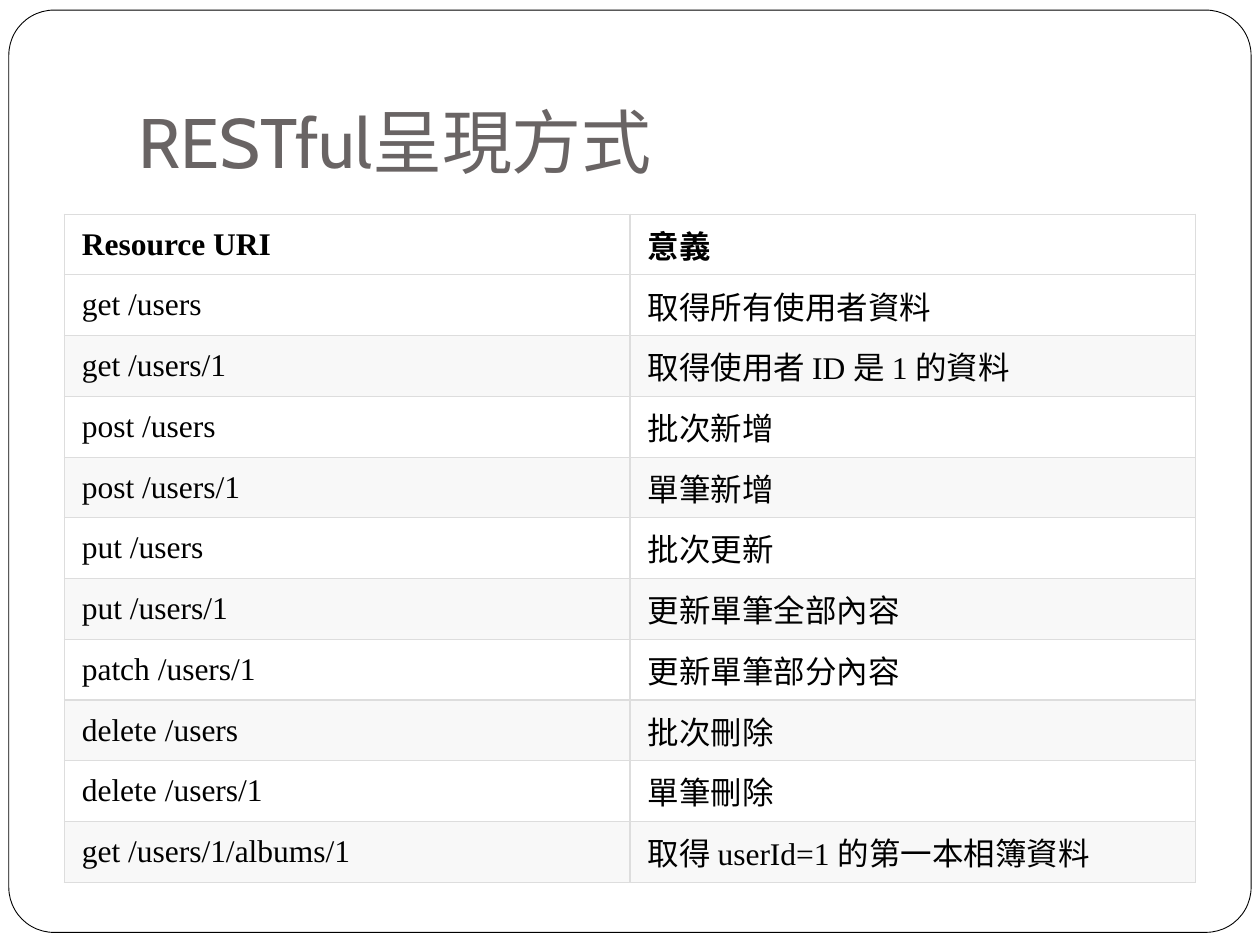
from dataclasses import dataclass

from lxml import etree
from pptx import Presentation
from pptx.dml.color import RGBColor
from pptx.enum.shapes import MSO_SHAPE
from pptx.enum.text import MSO_ANCHOR, MSO_AUTO_SIZE, PP_ALIGN
from pptx.oxml.ns import qn
from pptx.util import Inches, Pt

ROUNDED = MSO_SHAPE.ROUNDED_RECTANGLE
MIDDLE = MSO_ANCHOR.MIDDLE
BOTTOM = MSO_ANCHOR.BOTTOM
LEFT = PP_ALIGN.LEFT
NO_AUTOFIT = MSO_AUTO_SIZE.NONE

COLORS = {
    "white": "FFFFFF",
    "stripe": "F8F8F8",
    "border": "DDDDDD",
    "title": "696464",
    "black": "000000",
}
TITLE_FONT = "Cabin"
TABLE_FONT = "Times New Roman"
COLUMN_WIDTH = 4.49
ROW_HEIGHT = 0.44


@dataclass(frozen=True)
class Route:
    uri: str
    meaning: str


ROUTES = [
    Route("Resource URI", "意義"),
    Route("get /users", "取得所有使用者資料"),
    Route("get /users/1", "取得使用者 ID 是 1 的資料"),
    Route("post /users", "批次新增"),
    Route("post /users/1", "單筆新增"),
    Route("put /users", "批次更新"),
    Route("put /users/1", "更新單筆全部內容"),
    Route("patch /users/1", "更新單筆部分內容"),
    Route("delete /users", "批次刪除"),
    Route("delete /users/1", "單筆刪除"),
    Route("get /users/1/albums/1", "取得 userId=1 的第一本相簿資料"),
]


def color(name: str) -> RGBColor:
    return RGBColor.from_string(COLORS[name])


def format_text(paragraph, font_name: str, size: int, color_name: str, bold: bool = False) -> None:
    paragraph.alignment = LEFT
    for run in paragraph.runs:
        run.font.name = font_name
        run.font.size = Pt(size)
        run.font.bold = bold
        run.font.color.rgb = color(color_name)


def add_frame(slide):
    frame = slide.shapes.add_shape(ROUNDED, Inches(0.07), Inches(0.08), Inches(9.86), Inches(7.32))
    frame.adjustments[0] = 0.049
    frame.shadow.inherit = False
    frame.fill.solid()
    frame.fill.fore_color.rgb = color("white")
    frame.line.color.rgb = color("black")
    frame.line.width = Pt(0.5)
    return frame


def set_title(title) -> None:
    title.left, title.top = Inches(1), Inches(0.3)
    title.width, title.height = Inches(8.5), Inches(1.25)
    text_frame = title.text_frame
    text_frame.text = "RESTful呈現方式"
    text_frame.word_wrap = True
    text_frame.auto_size = NO_AUTOFIT
    text_frame.vertical_anchor = BOTTOM
    text_frame.margin_left = text_frame.margin_right = text_frame.margin_bottom = Inches(0.1)
    text_frame.margin_top = Inches(0.05)
    format_text(text_frame.paragraphs[0], TITLE_FONT, 40, "title")


def add_borders(cell) -> None:
    properties = cell._tc.get_or_add_tcPr()
    for index, side in enumerate(("a:lnL", "a:lnR", "a:lnT", "a:lnB")):
        line = etree.Element(qn(side), w=str(Pt(0.75)))
        fill = etree.SubElement(line, qn("a:solidFill"))
        etree.SubElement(fill, qn("a:srgbClr"), val=COLORS["border"])
        properties.insert(index, line)


def fill_cell(cell, text: str, fill_name: str, bold: bool) -> None:
    cell.text_frame.text = text
    cell.vertical_anchor = MIDDLE
    cell.margin_left = cell.margin_right = Inches(0.14)
    cell.margin_top = cell.margin_bottom = Inches(0.06)
    cell.fill.solid()
    cell.fill.fore_color.rgb = color(fill_name)
    format_text(cell.text_frame.paragraphs[0], TABLE_FONT, 18, "black", bold)
    add_borders(cell)


def add_route_table(slide, routes: list[Route]) -> None:
    table = slide.shapes.add_table(
        len(routes), 2, Inches(0.51), Inches(1.7),
        Inches(2 * COLUMN_WIDTH), Inches(ROW_HEIGHT * len(routes)),
    ).table
    table.horz_banding = False
    for column in table.columns:
        column.width = Inches(COLUMN_WIDTH)
    for index, route in enumerate(routes):
        table.rows[index].height = Inches(ROW_HEIGHT)
        fill_name = "stripe" if index and index % 2 == 0 else "white"
        for column_index, text in enumerate((route.uri, route.meaning)):
            fill_cell(table.cell(index, column_index), text, fill_name, index == 0)


def main() -> None:
    presentation = Presentation()
    presentation.slide_width = Inches(10)
    presentation.slide_height = Inches(7.5)
    slide = presentation.slides.add_slide(presentation.slide_layouts[5])
    title = slide.shapes.title
    frame = add_frame(slide)
    title._element.addprevious(frame._element)
    set_title(title)
    add_route_table(slide, ROUTES)
    presentation.save("out.pptx")


main()
